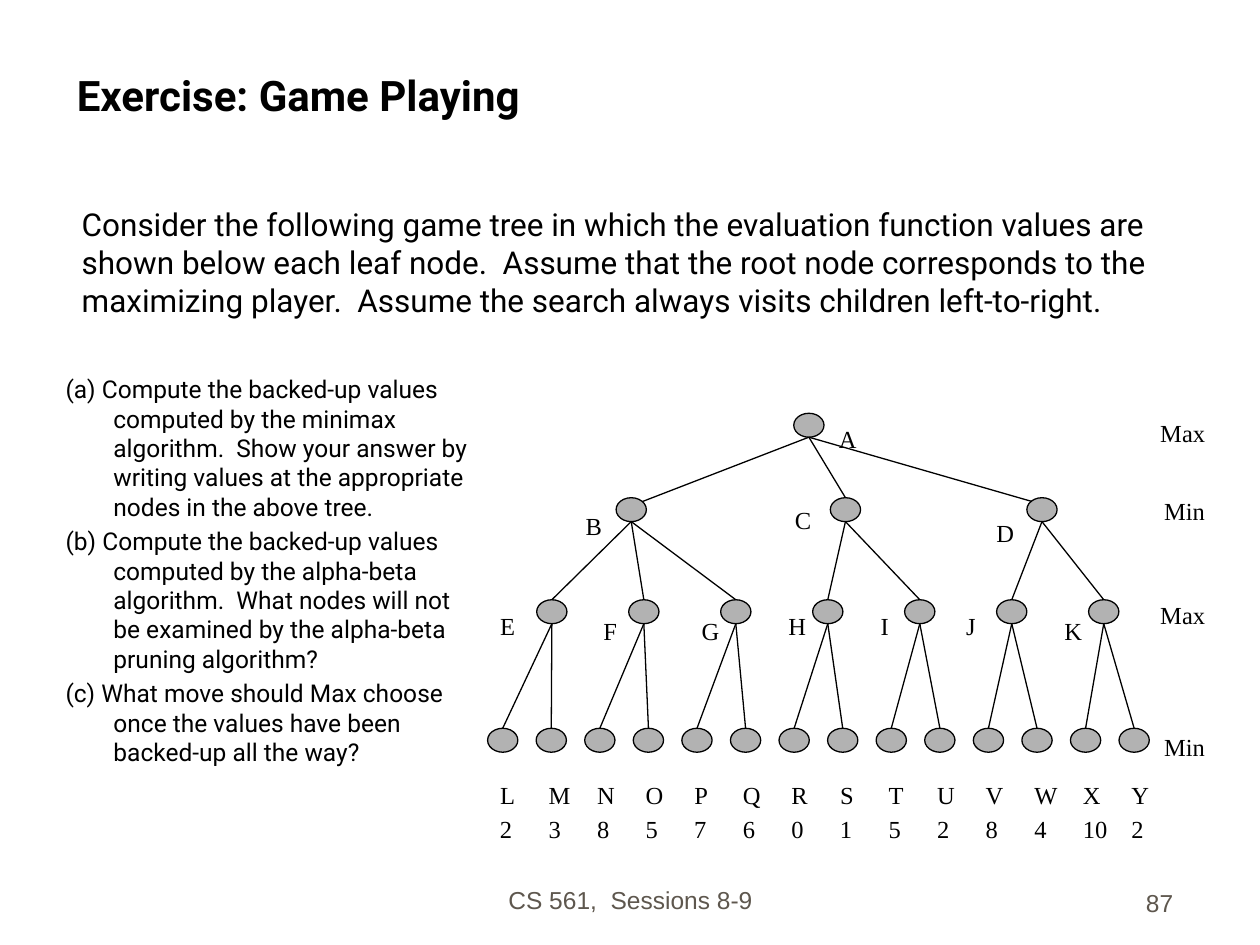
from lxml import etree
from pptx import Presentation
from pptx.dml.color import RGBColor
from pptx.enum import shapes, text
from pptx.oxml.ns import qn
from pptx.util import Inches, Pt

HUES = {"ink": "000000", "node": "B2B2B2", "foot": "5E574E"}
SERIF = "Times New Roman"
NODE_W, NODE_H = 0.24, 0.19

pres = Presentation()
pres.slide_width, pres.slide_height = Inches(10), Inches(7.5)
slide = pres.slides.add_slide(pres.slide_layouts[1])


def style(par, size, face, hue="ink", bold=False, hang=0):
    """Format a paragraph; hang is its hanging indent in inches."""
    if hang:
        props = par._p.get_or_add_pPr()
        props.set("marL", str(Inches(hang)))
        props.set("indent", str(-Inches(hang)))
        etree.SubElement(props, qn("a:buNone"))
    par.font.size, par.font.name, par.font.bold = Pt(size), face, bold
    par.font.color.rgb = RGBColor.from_string(HUES[hue])


def label(words, x, y, w, h=0.33, wrap=False):
    """Add a text box and return its frame."""
    frame = slide.shapes.add_textbox(*map(Inches, (x, y, w, h))).text_frame
    frame.word_wrap = wrap
    if not wrap:
        frame.auto_size = text.MSO_AUTO_SIZE.SHAPE_TO_FIT_TEXT
    frame.text = words
    style(frame.paragraphs[0], 14, SERIF)
    return frame


# Title
title = slide.shapes.title
title.left, title.top, title.width, title.height = map(Inches, (0.51, 0.25, 8.92, 0.75))
title.text = "Exercise: Game Playing"
title.text_frame.vertical_anchor = text.MSO_ANCHOR.BOTTOM
title.text_frame.paragraphs[0].alignment = text.PP_ALIGN.LEFT
style(title.text_frame.paragraphs[0], 24, "Roboto", bold=True)

# Introduction
intro = label(
    "\tConsider the following game tree in which the evaluation function values are "
    "shown below each leaf node.  Assume that the root node corresponds to the "
    "maximizing player.  Assume the search always visits children left-to-right.",
    0.17, 1.58, 9.08, 1.42, wrap=True)
style(intro.paragraphs[0], 18, "Roboto", hang=0.38)

# Questions
tasks = [
    "(a) Compute the backed-up values computed by the minimax algorithm.  Show your "
    "answer by writing values at the appropriate nodes in the above tree.",
    "(b) Compute the backed-up values computed by the alpha-beta  algorithm.  What "
    "nodes will not be examined by the alpha-beta pruning algorithm?",
    "(c) What move should Max choose once the values have been backed-up all the way?",
]
body = slide.placeholders[1]
body.left, body.top, body.width, body.height = map(Inches, (0.42, 2.92, 3.42, 3.62))
body.text_frame.auto_size = text.MSO_AUTO_SIZE.NONE
body.text_frame.text = "\n".join(tasks)
for i, par in enumerate(body.text_frame.paragraphs):
    style(par, 14, "Roboto", hang=0.38)
    par.space_before = Pt(2.8 if i else 0)

# Tree: the centre x and top y of every node
kids = {"A": "BCD", "B": "EFG", "C": "HI", "D": "JK"}
kids |= {name: "LMNOPQRSTUVWXY"[2 * i:2 * i + 2] for i, name in enumerate("EFGHIJK")}
nodes = {"A": (6.42, 3.28), "B": (5.01, 3.95), "C": (6.71, 3.95), "D": (8.27, 3.95)}
nodes |= {name: (4.38 + 0.73 * i, 4.76) for i, name in enumerate("EFGHIJK")}
nodes |= {name: (3.99 + 0.3855 * i, 5.78) for i, name in enumerate("LMNOPQRSTUVWXY")}
# Edges that meet the side of the child instead of its top
shift = {"B": (0.09, 0.03), "D": (-0.08, 0.03)}

for x, y in nodes.values():
    oval = slide.shapes.add_shape(
        shapes.MSO_SHAPE.OVAL, Inches(x - NODE_W / 2), Inches(y),
        Inches(NODE_W), Inches(NODE_H))
    oval.shadow.inherit = False
    oval.fill.solid()
    oval.fill.fore_color.rgb = RGBColor.from_string(HUES["node"])
    oval.line.color.rgb = RGBColor.from_string(HUES["ink"])
    oval.line.width = Pt(0.75)

for name, group in kids.items():
    x, y = nodes[name]
    for kid in group:
        dx, dy = shift.get(kid, (0, 0))
        edge = slide.shapes.add_connector(
            shapes.MSO_CONNECTOR.STRAIGHT, Inches(x), Inches(y + NODE_H),
            Inches(nodes[kid][0] + dx), Inches(nodes[kid][1] + dy))
        edge.line.color.rgb = RGBColor.from_string(HUES["ink"])
        edge.line.width = Pt(0.75)
        etree.SubElement(edge._element.spPr, qn("a:effectLst"))

# Node names, leaf values and levels
wide = {"I": 0.26, "J": 0.28, "E": 0.32, "F": 0.31, "L": 0.32, "M": 0.38,
        "P": 0.31, "S": 0.31, "T": 0.32, "W": 0.38}
spots = {"A": (6.56, 3.32), "B": (4.55, 4.01), "C": (6.21, 3.96), "D": (7.81, 4.06),
         "E": (3.87, 4.8), "F": (4.69, 4.84), "G": (5.47, 4.84), "H": (6.16, 4.8),
         "I": (6.89, 4.8), "J": (7.57, 4.8), "K": (8.35, 4.84)}
scores = dict(zip("LMNOPQRSTUVWXY", (2, 3, 8, 5, 7, 6, 0, 1, 5, 2, 8, 4, 10, 2)))
for name, score in scores.items():
    left = nodes[name][0] - NODE_W / 2
    spots[name] = (left, 6.14)
    label(str(score), left, 6.41, 0.4 if score > 9 else 0.3)
for name, (x, y) in spots.items():
    label(name, x, y, wide.get(name, 0.34))
for word, y in (("Max", 3.27), ("Min", 3.89), ("Max", 4.71), ("Min", 5.76)):
    w = 0.56 if word == "Max" else 0.53
    label(word, 9.67 - w, y, w)

# Footer
for words, x, y, w, side in (
        ("CS 561,  Sessions 8-9", 3.42, 6.81, 3.17, text.PP_ALIGN.CENTER),
        ("87", 7.33, 6.83, 2.08, text.PP_ALIGN.RIGHT)):
    foot = label(words, x, y, w, 0.5, wrap=True)
    foot.vertical_anchor = text.MSO_ANCHOR.BOTTOM
    foot.paragraphs[0].alignment = side
    style(foot.paragraphs[0], 14, "Arial", "foot")

pres.save("out.pptx")
